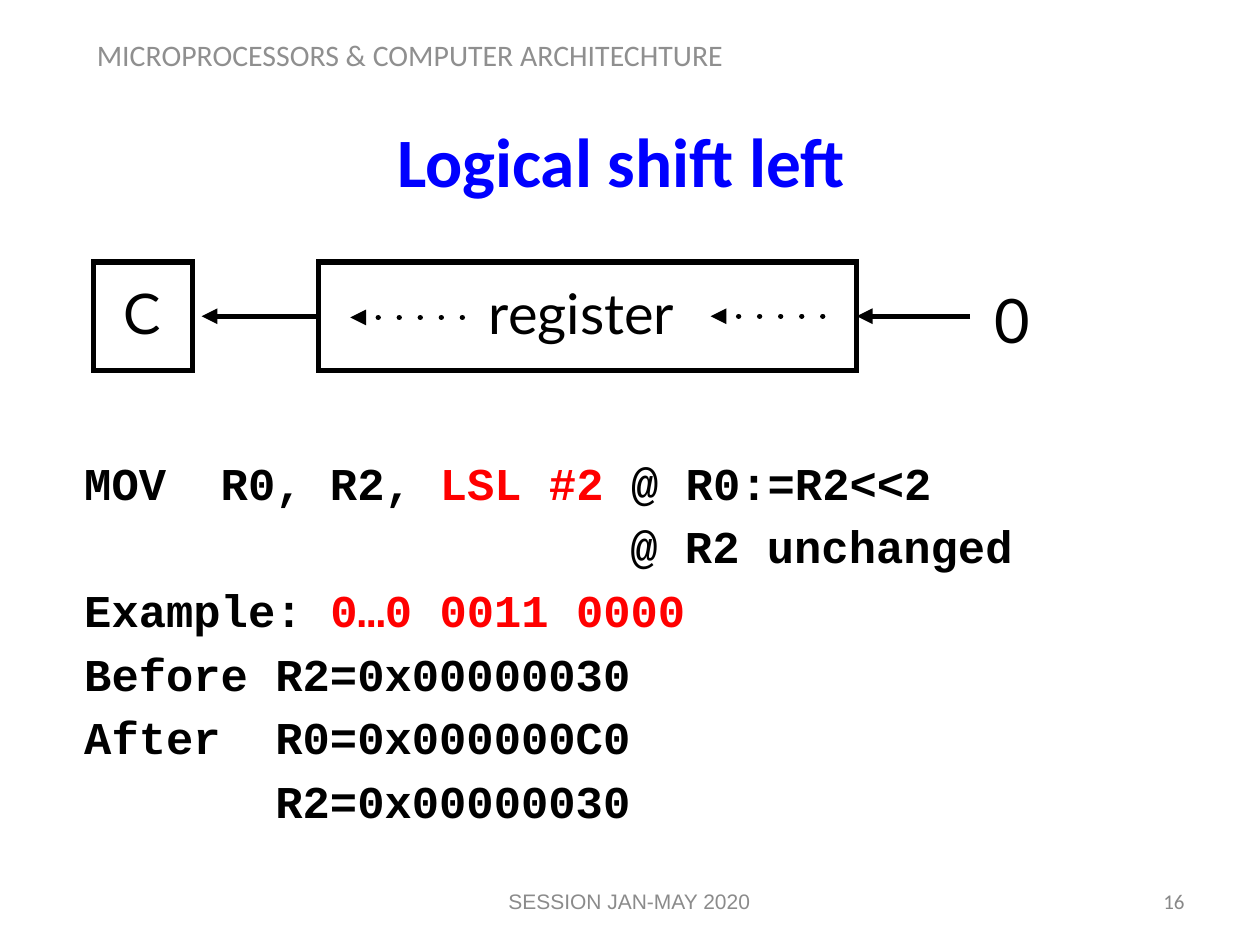
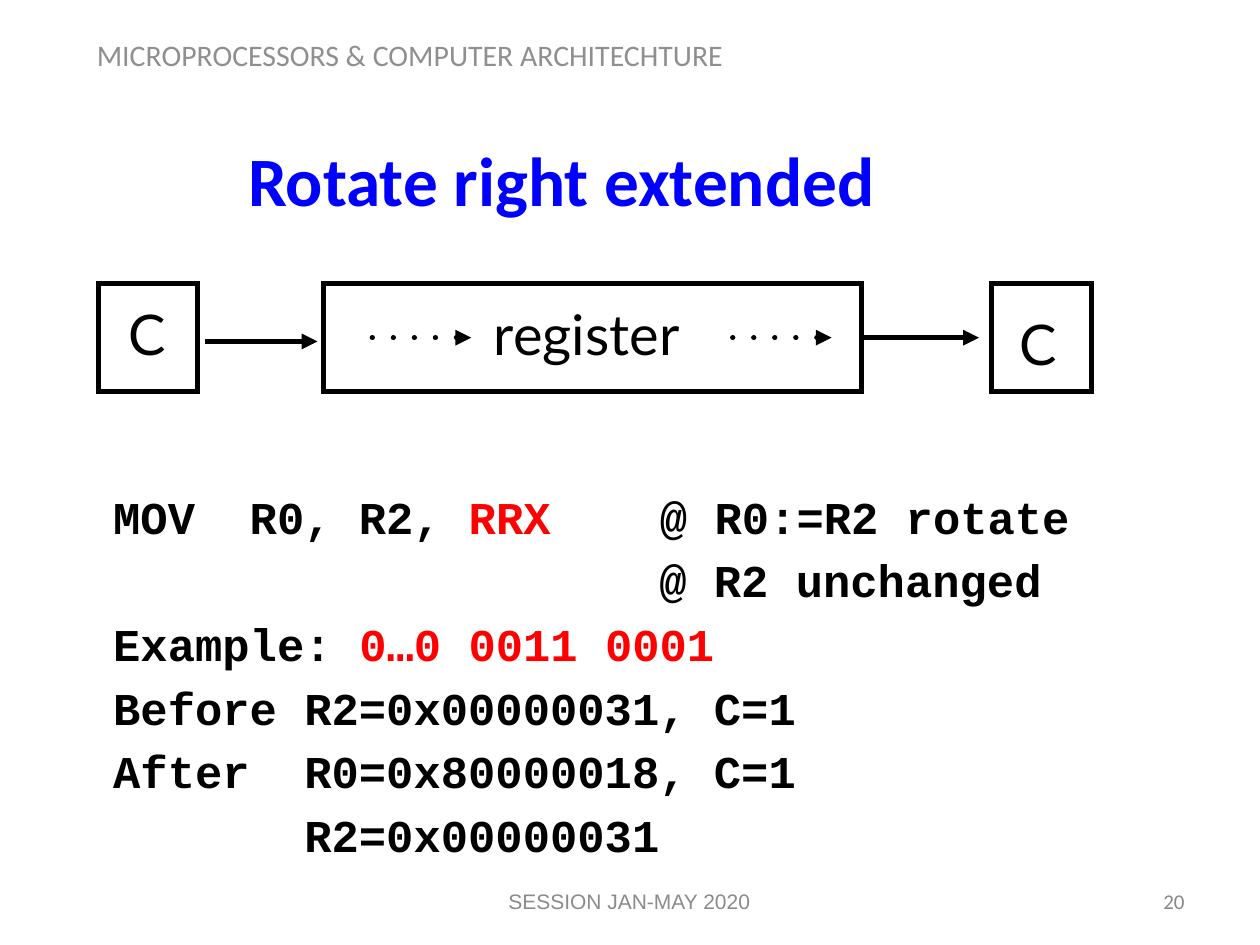
"""Build two slides on shift and rotate operations of a register."""
from lxml import etree
from pptx import Presentation
from pptx.dml.color import RGBColor
from pptx.enum.shapes import MSO_CONNECTOR, MSO_SHAPE
from pptx.enum.text import MSO_ANCHOR, PP_ALIGN
from pptx.oxml.ns import qn
from pptx.util import Inches, Pt

RECTANGLE = MSO_SHAPE.RECTANGLE
STRAIGHT = MSO_CONNECTOR.STRAIGHT
LEFT, CENTER, RIGHT = PP_ALIGN.LEFT, PP_ALIGN.CENTER, PP_ALIGN.RIGHT
TOP, MIDDLE = MSO_ANCHOR.TOP, MSO_ANCHOR.MIDDLE
LEFT_SIDE, RIGHT_SIDE = 1, 3

BLACK, WHITE, RED, BLUE = "000000", "FFFFFF", "FF0000", "0000FF"
FOOTER_GRAY, NUMBER_GRAY = "8B8B8B", "888888"
HEADER = "MICROPROCESSORS & COMPUTER ARCHITECHTURE"
FOOTER = "SESSION JAN-MAY 2020"
BOX_HEIGHT, CARRY_WIDTH, REGISTER_WIDTH = 0.86, 0.79, 4.27
PLAIN_INSETS = (0.1, 0.05, 0.1, 0.05)
LABEL_INSETS = (0.12, 0.06, 0.12, 0.06)

SLIDES = [
    {
        "title": "Logical shift left",
        "title_place": (0.43, 1, 9, 0.53),
        "number": "16",
        "box_top": 2.08,
        "carry_lefts": [0.74],
        "register_left": 2.53,
        "labels": [("C", 32, (0.86, 2.15, 0.51, 0.66)),
                   ("0", 35, (7.77, 2.18, 0.52, 0.69)),
                   ("register", 32, (3.76, 2.15, 2.33, 0.66))],
        "arrowhead": "a:tailEnd",
        "arrows": [(7.7, 6.81, 2.51, None, RIGHT_SIDE),
                   (2.5, 1.6, 2.51, LEFT_SIDE, None)],
        "dotted_arrows": [(6.53, 5.64, 2.51), (3.67, 2.78, 2.52)],
        "code_place": (0.57, 3.56, 8.85, 4.04),
        "code": [
            [("MOV  R0, R2, ", BLACK), ("LSL #2", RED), (" @ R0:=R2<<2", BLACK)],
            [("                    @ R2 unchanged", BLACK)],
            [("Example: ", BLACK), ("0…0 0011 0000", RED)],
            [("Before R2=0x00000030", BLACK)],
            [("After  R0=0x000000C0", BLACK)],
            [("       R2=0x00000030", BLACK)],
        ],
    },
    {
        "title": "Rotate right extended",
        "title_place": (0.55, 1.09, 7.81, 0.66),
        "number": "20",
        "box_top": 2.25,
        "carry_lefts": [0.78, 7.87],
        "register_left": 2.57,
        "labels": [("C", 32, (0.9, 2.32, 0.51, 0.66)),
                   ("C", 32, (7.97, 2.4, 0.51, 0.66)),
                   ("register", 32, (3.8, 2.32, 2.12, 0.66))],
        "arrowhead": "a:headEnd",
        "arrows": [(2.52, 1.63, 2.71, None, None),
                   (7.77, 6.88, 2.68, None, RIGHT_SIDE)],
        "dotted_arrows": [(6.6, 5.7, 2.68), (3.74, 2.84, 2.68)],
        "code_place": (0.8, 3.83, 8.19, 3.17),
        "code": [
            [("MOV  R0, R2, ", BLACK), ("RRX", RED), ("    @ R0:=R2 rotate", BLACK)],
            [("                    @ R2 unchanged", BLACK)],
            [("Example: ", BLACK), ("0…0 0011 0001", RED)],
            [("Before R2=0x00000031, C=1", BLACK)],
            [("After  R0=0x80000018, C=1", BLACK)],
            [("       R2=0x00000031", BLACK)],
        ],
    },
]


def color(hex_string):
    return RGBColor.from_string(hex_string)


def place(values):
    return [Inches(value) for value in values]


def add_text(slide, position, lines, font, size, bold=False, align=LEFT,
             anchor=TOP, insets=PLAIN_INSETS, space_before=0, hanging=0):
    frame = slide.shapes.add_textbox(*place(position)).text_frame
    frame.word_wrap = True
    frame.vertical_anchor = anchor
    (frame.margin_left, frame.margin_top,
     frame.margin_right, frame.margin_bottom) = place(insets)
    for index, line in enumerate(lines):
        paragraph = frame.add_paragraph() if index else frame.paragraphs[0]
        paragraph.alignment = align
        if index and space_before:
            paragraph.space_before = Pt(space_before)
        if hanging:
            properties = paragraph._p.get_or_add_pPr()
            properties.set("marL", str(Inches(hanging)))
            properties.set("indent", str(-Inches(hanging)))
        for text, hex_string in line:
            run = paragraph.add_run()
            run.text = text
            run.font.name = font
            run.font.size = Pt(size)
            run.font.bold = bold
            run.font.color.rgb = color(hex_string)


def add_box(slide, position, line_color=BLACK, line_width=3):
    box = slide.shapes.add_shape(RECTANGLE, *place(position))
    box.shadow.inherit = False
    box.fill.background()
    box.line.color.rgb = color(line_color)
    box.line.width = Pt(line_width)
    etree.SubElement(box.line._get_or_add_ln(), qn("a:miter"), lim="800000")
    return box


def add_arrow(slide, start, end, height, arrowhead, dotted=False):
    arrow = slide.shapes.add_connector(STRAIGHT, *place((start, height, end, height)))
    arrow.line.color.rgb = color(BLACK)
    arrow.line.width = Pt(3)
    line = arrow.line._get_or_add_ln()
    if dotted:
        line.set("cap", "rnd")
        etree.SubElement(line, qn("a:prstDash"), val="dot")
    etree.SubElement(line, qn(arrowhead), type="triangle")
    etree.SubElement(arrow._element.spPr, qn("a:effectLst"))
    return arrow


def add_frame(slide, content):
    add_text(slide, (0.67, 0.24, 6.55, 0.4), [[(HEADER, BLACK)]], "Calibri", 17)
    veil = add_box(slide, (0.56, 0.15, 6.93, 0.4), WHITE, 2)
    veil.fill.solid()
    veil.fill.fore_color.rgb = color(WHITE)
    veil_color = veil._element.spPr.find(qn("a:solidFill"))[0]
    etree.SubElement(veil_color, qn("a:alpha"), val="56000")
    add_text(slide, content["title_place"], [[(content["title"], BLUE)]],
             "Calibri", 39.6, bold=True, align=CENTER, anchor=MIDDLE)
    add_text(slide, (7.17, 6.95, 2.33, 0.4), [[(content["number"], NUMBER_GRAY)]],
             "Calibri", 12, align=RIGHT, anchor=MIDDLE)
    add_text(slide, (3.31, 6.95, 3.37, 0.4), [[(FOOTER, FOOTER_GRAY)]],
             "Arial", 12, align=CENTER, anchor=MIDDLE)


def add_diagram(slide, content):
    top, arrowhead = content["box_top"], content["arrowhead"]
    for left in content["carry_lefts"]:
        add_box(slide, (left, top, CARRY_WIDTH, BOX_HEIGHT))
    register = add_box(slide, (content["register_left"], top, REGISTER_WIDTH, BOX_HEIGHT))
    for text, size, position in content["labels"]:
        add_text(slide, position, [[(text, BLACK)]], "Lato", size, insets=LABEL_INSETS)
    for start, end, height, begin_side, end_side in content["arrows"]:
        arrow = add_arrow(slide, start, end, height, arrowhead)
        if begin_side is not None:
            arrow.begin_connect(register, begin_side)
        if end_side is not None:
            arrow.end_connect(register, end_side)
    for start, end, height in content["dotted_arrows"]:
        add_arrow(slide, start, end, height, arrowhead, dotted=True)


def main():
    presentation = Presentation()
    presentation.slide_width, presentation.slide_height = place((10, 7.5))
    for content in SLIDES:
        slide = presentation.slides.add_slide(presentation.slide_layouts[6])
        add_frame(slide, content)
        add_text(slide, content["code_place"], content["code"], "Courier New", 26,
                 bold=True, space_before=5.2, hanging=0.38)
        add_diagram(slide, content)
    presentation.save("out.pptx")


if __name__ == "__main__":
    main()
